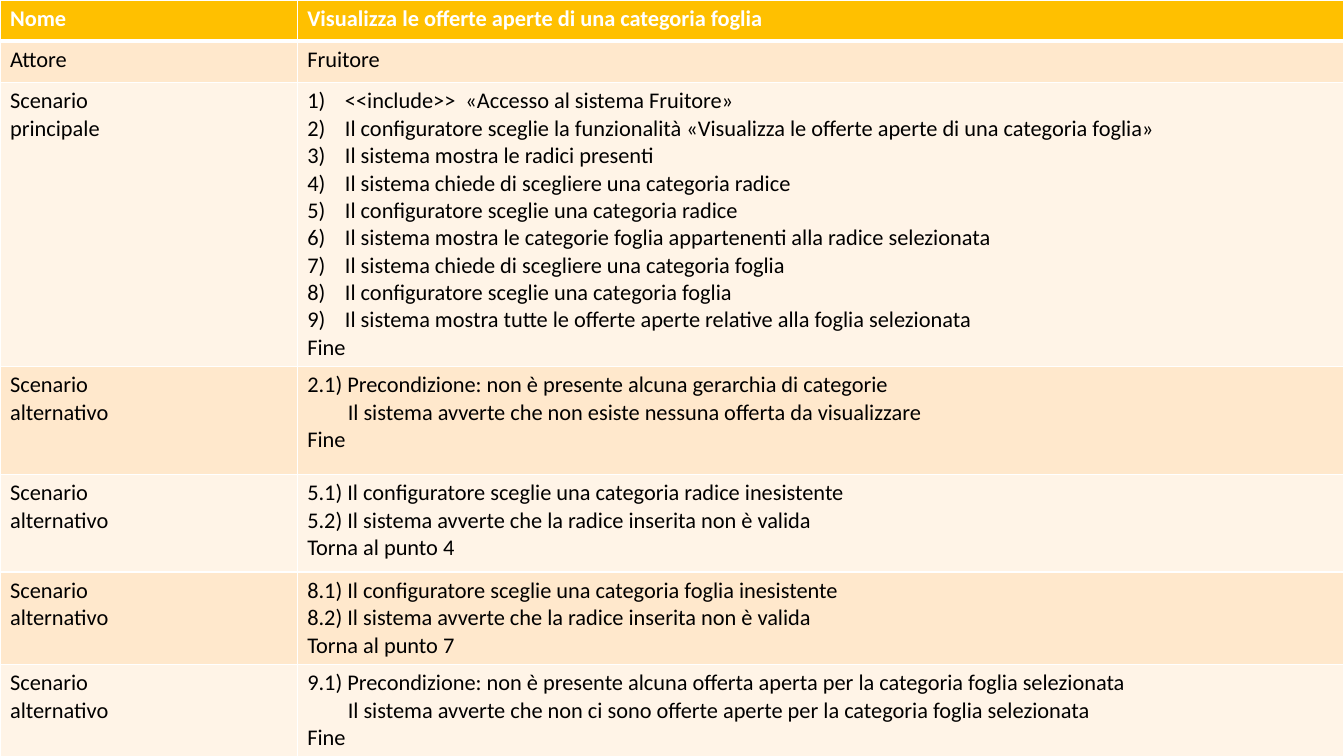
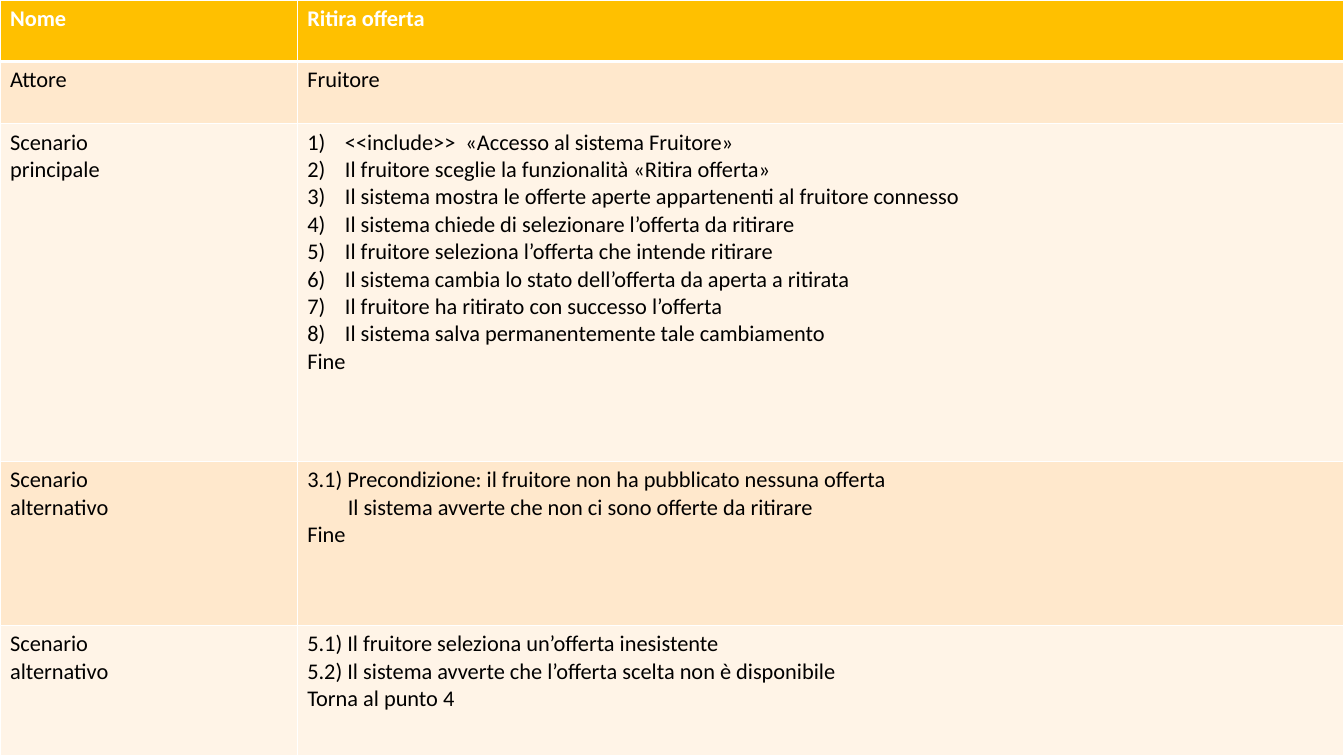
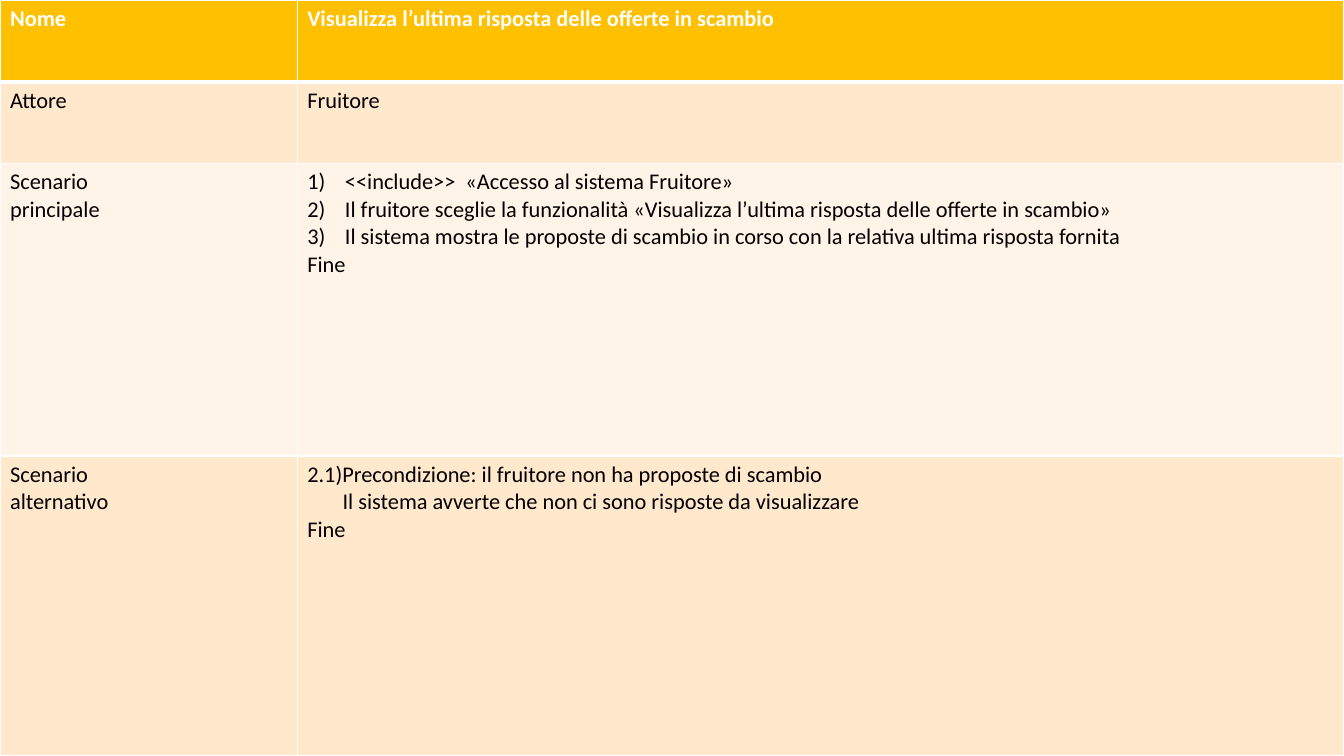
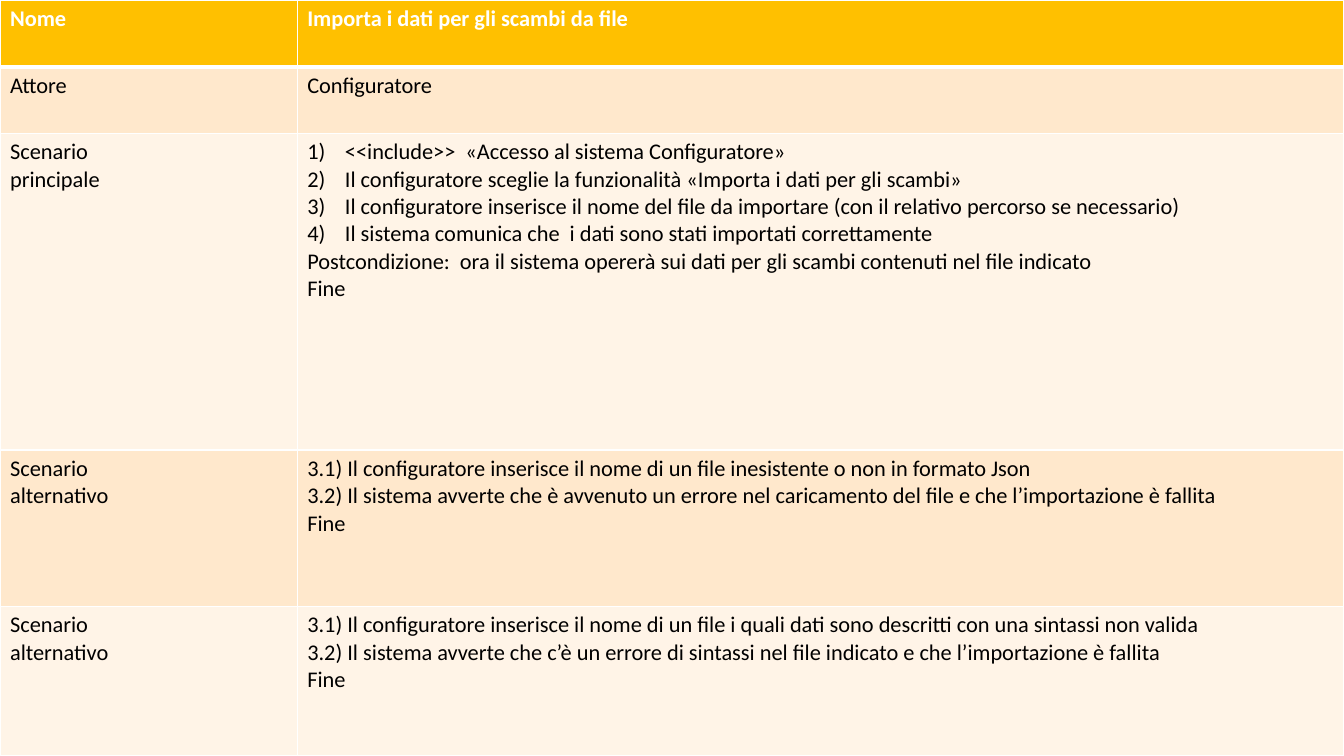
from dataclasses import dataclass

from lxml import etree
from pptx import Presentation
from pptx import util as u
from pptx.dml import color
from pptx.oxml import ns

# Shared look
COLOURS = {
    "header": "FFC000",
    "band_dark": "FFE8CC",
    "band_light": "FFF4E7",
    "border": "FFFFFF",
    "header_text": "FFFFFF",
    "text": "000000",
}
PAGE_WIDTH, PAGE_HEIGHT = 33.87, 19.05
LABEL_WIDTH = 7.49
STEP_INDENT = 0.95
FONT = {"name": "Calibri", "size": u.Pt(16)}
THIN, THICK = 1, 3


@dataclass(frozen=True)
class Line:
    text: str
    indent: float = 0
    numbered: bool = False


@dataclass(frozen=True)
class Scenario:
    kind: str
    lines: tuple[Line, ...]
    height: float = 0  # zero takes what is left of the page


@dataclass(frozen=True)
class UseCase:
    name: str
    actor: str
    top_heights: tuple[float, float]
    scenarios: tuple[Scenario, ...]


def plain(*texts: str) -> tuple[Line, ...]:
    return tuple(Line(text) for text in texts)


def steps(*texts: str) -> tuple[Line, ...]:
    return tuple(Line(text, STEP_INDENT, True) for text in texts)


def precondition(first: str, warning: str, indent: float = 1.02) -> tuple[Line, ...]:
    return (Line(first), Line(warning, indent), Line("Fine"))


# Content
USE_CASES = (
    UseCase("Visualizza le offerte aperte di una categoria foglia", "Fruitore", (1.04, 1.04), (
        Scenario("principale", steps(
            "<<include>>  «Accesso al sistema Fruitore»",
            "Il configuratore sceglie la funzionalità «Visualizza le offerte aperte di una categoria foglia»",
            "Il sistema mostra le radici presenti",
            "Il sistema chiede di scegliere una categoria radice",
            "Il configuratore sceglie una categoria radice",
            "Il sistema mostra le categorie foglia appartenenti alla radice selezionata",
            "Il sistema chiede di scegliere una categoria foglia",
            "Il configuratore sceglie una categoria foglia",
            "Il sistema mostra tutte le offerte aperte relative alla foglia selezionata",
        ) + plain("Fine"), 7.14),
        Scenario("alternativo", precondition(
            "2.1) Precondizione: non è presente alcuna gerarchia di categorie",
            "Il sistema avverte che non esiste nessuna offerta da visualizzare"), 2.72),
        Scenario("alternativo", plain(
            "5.1) Il configuratore sceglie una categoria radice inesistente",
            "5.2) Il sistema avverte che la radice inserita non è valida",
            "Torna al punto 4"), 2.46),
        Scenario("alternativo", plain(
            "8.1) Il configuratore sceglie una categoria foglia inesistente",
            "8.2) Il sistema avverte che la radice inserita non è valida",
            "Torna al punto 7"), 2.33),
        Scenario("alternativo", precondition(
            "9.1) Precondizione: non è presente alcuna offerta aperta per la categoria foglia selezionata",
            "Il sistema avverte che non ci sono offerte aperte per la categoria foglia selezionata")),
    )),
    UseCase("Ritira offerta", "Fruitore", (1.55, 1.57), (
        Scenario("principale", steps(
            "<<include>>  «Accesso al sistema Fruitore»",
            "Il fruitore sceglie la funzionalità «Ritira offerta»",
            "Il sistema mostra le offerte aperte appartenenti al fruitore connesso",
            "Il sistema chiede di selezionare l’offerta da ritirare",
            "Il fruitore seleziona l’offerta che intende ritirare",
            "Il sistema cambia lo stato dell’offerta da aperta a ritirata",
            "Il fruitore ha ritirato con successo l’offerta",
            "Il sistema salva permanentemente tale cambiamento",
        ) + plain("Fine"), 8.51),
        Scenario("alternativo", precondition(
            "3.1) Precondizione: il fruitore non ha pubblicato nessuna offerta",
            "Il sistema avverte che non ci sono offerte da ritirare"), 4.13),
        Scenario("alternativo", plain(
            "5.1) Il fruitore seleziona un’offerta inesistente",
            "5.2) Il sistema avverte che l’offerta scelta non è disponibile",
            "Torna al punto 4")),
    )),
    UseCase("Visualizza l’ultima risposta delle offerte in scambio", "Fruitore", (2.06, 2.06), (
        Scenario("principale", steps(
            "<<include>>  «Accesso al sistema Fruitore»",
            "Il fruitore sceglie la funzionalità «Visualizza l’ultima risposta delle offerte in scambio»",
            "Il sistema mostra le proposte di scambio in corso con la relativa ultima risposta fornita",
        ) + plain("Fine"), 7.37),
        Scenario("alternativo", precondition(
            "2.1)Precondizione: il fruitore non ha proposte di scambio",
            "Il sistema avverte che non ci sono risposte da visualizzare", 0.89)),
    )),
    UseCase("Importa i dati per gli scambi da file", "Configuratore", (1.68, 1.68), (
        Scenario("principale", steps(
            "<<include>>  «Accesso al sistema Configuratore»",
            "Il configuratore sceglie la funzionalità «Importa i dati per gli scambi»",
            "Il configuratore inserisce il nome del file da importare (con il relativo percorso se necessario)",
            "Il sistema comunica che  i dati sono stati importati correttamente",
        ) + plain(
            "Postcondizione:  ora il sistema opererà sui dati per gli scambi contenuti nel file indicato",
            "Fine"), 7.98),
        Scenario("alternativo", plain(
            "3.1) Il configuratore inserisce il nome di un file inesistente o non in formato Json",
            "3.2) Il sistema avverte che è avvenuto un errore nel caricamento del file e che l’importazione è fallita",
            "Fine"), 3.94),
        Scenario("alternativo", plain(
            "3.1) Il configuratore inserisce il nome di un file i quali dati sono descritti con una sintassi non valida",
            "3.2) Il sistema avverte che c’è un errore di sintassi nel file indicato e che l’importazione è fallita",
            "Fine")),
    )),
)


# Drawing
def add_borders(cell, top: float, bottom: float) -> None:
    properties = cell._tc.get_or_add_tcPr()
    for side, width in {"L": THIN, "R": THIN, "T": top, "B": bottom}.items():
        line = etree.SubElement(properties, ns.qn(f"a:ln{side}"), w=str(u.Pt(width)))
        fill = etree.SubElement(line, ns.qn("a:solidFill"))
        etree.SubElement(fill, ns.qn("a:srgbClr"), val=COLOURS["border"])


def write_line(para, line: Line, is_header: bool) -> None:
    properties = para._p.get_or_add_pPr()
    if line.indent:
        properties.set("marL", str(u.Cm(line.indent)))
    if line.numbered:
        properties.set("indent", str(-u.Cm(line.indent)))
        etree.SubElement(properties, ns.qn("a:buAutoNum"), type="arabicParenR")
    span = para.add_run()
    span.text = line.text
    for attribute, value in {**FONT, "bold": is_header}.items():
        setattr(span.font, attribute, value)
    text_colour = COLOURS["header_text" if is_header else "text"]
    span.font.color.rgb = color.RGBColor.from_string(text_colour)


def fill_cell(cell, lines: tuple[Line, ...], row: int) -> None:
    add_borders(cell, THICK if row == 1 else THIN, THICK if row == 0 else THIN)
    band = "header" if row == 0 else "band_dark" if row % 2 else "band_light"
    cell.fill.solid()
    cell.fill.fore_color.rgb = color.RGBColor.from_string(COLOURS[band])
    frame = cell.text_frame
    for index, line in enumerate(lines):
        para = frame.add_paragraph() if index else frame.paragraphs[0]
        write_line(para, line, row == 0)


def add_use_case(deck, case: UseCase) -> None:
    page = deck.slides.add_slide(deck.slide_layouts[6])
    rows = [(plain("Nome"), plain(case.name)), (plain("Attore"), plain(case.actor))]
    rows += [(plain("Scenario", item.kind), item.lines) for item in case.scenarios]
    heights = [*case.top_heights, *(item.height for item in case.scenarios)]
    heights[-1] = PAGE_HEIGHT - sum(heights)

    table = page.shapes.add_table(
        len(rows), 2, 0, 0, u.Cm(PAGE_WIDTH), u.Cm(PAGE_HEIGHT)).table
    table.horz_banding = False
    for column, width in zip(table.columns, (LABEL_WIDTH, PAGE_WIDTH - LABEL_WIDTH)):
        column.width = u.Cm(width)
    for row, (contents, height) in enumerate(zip(rows, heights)):
        table.rows[row].height = u.Cm(height)
        for column, lines in enumerate(contents):
            fill_cell(table.cell(row, column), lines, row)


def main() -> None:
    deck = Presentation()
    deck.slide_width, deck.slide_height = u.Cm(PAGE_WIDTH), u.Cm(PAGE_HEIGHT)
    for case in USE_CASES:
        add_use_case(deck, case)
    deck.save("out.pptx")


if __name__ == "__main__":
    main()
